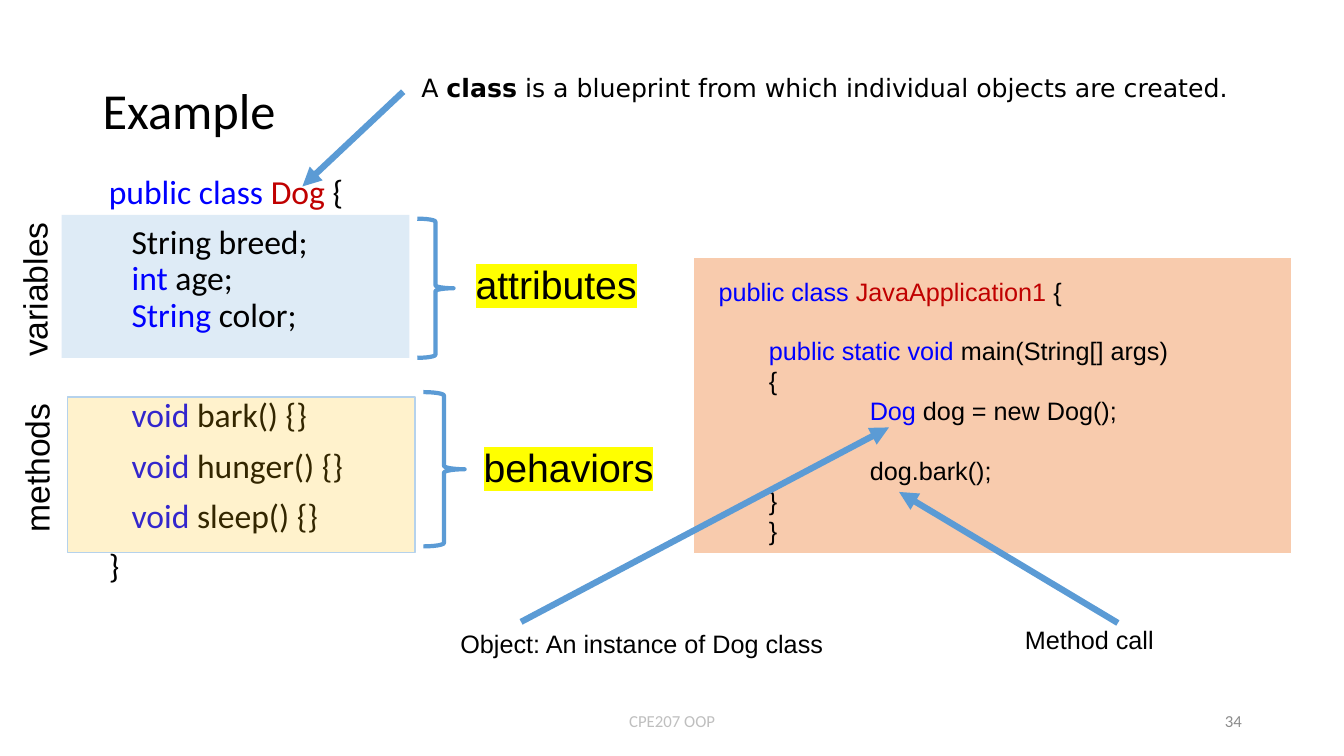
from dataclasses import dataclass
from typing import Optional

from lxml import etree
from pptx import Presentation
from pptx import util as u
from pptx.dml.color import RGBColor
from pptx.enum import shapes, text
from pptx.oxml.ns import qn

COLORS = {
    "black": "000000", "keyword": "0000FF", "name": "C00000",
    "blue": "5B9BD5", "pale_blue": "B5D2EC", "peach": "F8CBAD",
    "gold": "FFC000", "white": "FFFFFF", "yellow": "FFFF00",
    "footer": "BFBFBF", "number": "8C8C8C",
}
Box = tuple[float, float, float, float]


@dataclass
class Run:
    words: str
    color: str = "black"
    bold: bool = False
    highlight: Optional[str] = None


@dataclass
class Line:
    runs: list[Run]
    before: float = 0
    indent: float = 0


@dataclass
class Label:
    box: Box
    lines: list[Line]
    size: float
    font: str = "Arial"
    wrap: bool = False
    middle: bool = False
    align: text.PP_ALIGN = text.PP_ALIGN.LEFT
    spacing: Optional[float] = None
    rotation: float = 0


@dataclass
class Panel:
    box: Box
    fill: str
    opacity: int = 100
    border: Optional[str] = None


@dataclass
class Arrow:
    start: tuple[float, float]
    end: tuple[float, float]


def rgb(name: str) -> RGBColor:
    return RGBColor.from_string(COLORS[name])


def points(values: tuple) -> list[u.Length]:
    return [u.Pt(value) for value in values]


def draw_panel(slide, panel: Panel) -> None:
    rect = slide.shapes.add_shape(shapes.MSO_SHAPE.RECTANGLE, *points(panel.box))
    rect.shadow.inherit = False
    rect.fill.solid()
    rect.fill.fore_color.rgb = rgb(panel.fill)
    if panel.opacity < 100:
        color = rect._element.spPr.find(qn("a:solidFill"))[0]
        etree.SubElement(color, qn("a:alpha"), val=str(panel.opacity * 1000))
    if panel.border:
        rect.line.color.rgb = rgb(panel.border)
        rect.line.width = u.Pt(1)
    else:
        rect.line.fill.background()


def draw_brace(slide, box: Box) -> None:
    brace = slide.shapes.add_shape(shapes.MSO_SHAPE.RIGHT_BRACE, *points(box))
    brace.shadow.inherit = False
    brace.fill.background()
    brace.line.color.rgb = rgb("blue")
    brace.line.width = u.Pt(3)


def draw_arrow(slide, arrow: Arrow) -> None:
    line = slide.shapes.add_connector(
        shapes.MSO_CONNECTOR.STRAIGHT, *points(arrow.start + arrow.end))
    line.line.color.rgb = rgb("blue")
    line.line.width = u.Pt(4.5)
    etree.SubElement(line.line._get_or_add_ln(), qn("a:tailEnd"), type="triangle")
    etree.SubElement(line._element.spPr, qn("a:effectLst"))


def draw_label(slide, label: Label) -> None:
    box = slide.shapes.add_textbox(*points(label.box))
    box.rotation = label.rotation
    frame = box.text_frame
    frame.word_wrap = label.wrap
    if label.middle:
        frame.vertical_anchor = text.MSO_ANCHOR.MIDDLE
    for index, line in enumerate(label.lines):
        paragraph = frame.add_paragraph() if index else frame.paragraphs[0]
        paragraph.alignment = label.align
        if label.spacing:
            paragraph.line_spacing = label.spacing
        if line.before:
            paragraph.space_before = u.Pt(line.before)
        if line.indent:
            properties = paragraph._p.get_or_add_pPr()
            properties.set("marL", str(u.Pt(line.indent)))
            properties.set("indent", "0")
        for part in line.runs:
            run = paragraph.add_run()
            run.text = part.words
            run.font.size = u.Pt(label.size)
            run.font.bold = part.bold
            run.font.color.rgb = rgb(part.color)
            if part.highlight:
                mark = etree.Element(qn("a:highlight"))
                etree.SubElement(mark, qn("a:srgbClr"), val=COLORS[part.highlight])
                run._r.rPr.find(qn("a:solidFill")).addnext(mark)
            run.font.name = label.font


def single(words: str, color: str = "black", highlight: Optional[str] = None) -> list[Line]:
    return [Line([Run(words, color, highlight=highlight)])]


def method(name: str, before: float = 10) -> Line:
    return Line([Run("   void", "keyword"), Run(f" {name}() {{}}")], before)


# Code of the Dog class
DOG_CLASS = [
    Line([Run("public class ", "keyword"), Run("Dog", "name"), Run(" {")]),
    Line([Run("   String breed;")], 10),
    Line([Run("   int", "keyword"), Run(" age;")]),
    Line([Run("   String", "keyword"), Run(" color;")]),
    method("bark", 46),
    method("hunger"),
    method("sleep"),
    Line([Run("}")], 10),
]

# Code of the application, with one line of air where a gap is wanted
GAP, BODY, INNER = 20.7, 36, 108
APPLICATION = [
    Line([Run("public class ", "keyword"), Run("JavaApplication1", "name"), Run(" {")]),
    Line([Run("public static void", "keyword"), Run(" main(String[] args)")], GAP, BODY),
    Line([Run("{")], indent=BODY),
    Line([Run("Dog ", "keyword"), Run("dog = new Dog();")], indent=INNER),
    Line([Run("dog.bark();")], GAP, INNER),
    Line([Run("}")], indent=BODY),
    Line([Run("}")], indent=BODY),
]

DEFINITION = [Line([
    Run("A "), Run("class", bold=True),
    Run(" is a blueprint from which individual objects are created."),
])]

# Everything on the slide, from back to front
CONTENT = [
    Panel((495.4, 183.6, 427, 211.7), "peach", border="white"),
    Panel((44, 153.4, 248.4, 102.2), "blue", 20),
    Label((66.2, 28.8, 828, 104.4), single("Example"), 36, "Calibri",
          wrap=True, middle=True, spacing=0.9),
    Label((70.6, 121.7, 210.2, 311), DOG_CLASS, 24, "Calibri", wrap=True, spacing=0.9),
    Label((293.8, 48.2, 630, 28.8), DEFINITION, 18, "DejaVu Sans", wrap=True),
    Arrow((288, 65.5), (216, 133.2)),
    Label((332.6, 182.2, 131, 41), single("attributes", highlight="yellow"), 28),
    Label((338.4, 313.2, 137.5, 41), single("behaviors", highlight="yellow"), 28),
    Label((506.2, 193.7, 372.2, 203.8), APPLICATION, 18, wrap=True),
    Arrow((372.2, 444.2), (635, 305.3)),
    Label((321.8, 445, 275.8, 28.8), single("Object: An instance of Dog class"), 18),
    Panel((48.2, 283.7, 248.4, 110.9), "gold", 20, "pale_blue"),
    Label((-31, 187.9, 111.6, 36.7), single("variables"), 24, rotation=270),
    Label((-27.4, 315.4, 107.3, 36.7), single("methods"), 24, rotation=270),
    Arrow((798.5, 445), (642.2, 351.4)),
    Label((725, 442.1, 107.3, 28.8), single("Method call"), 18),
    Label((318.2, 500.4, 324, 28.8), single("CPE207 OOP", "footer"), 12, "Calibri",
          wrap=True, middle=True, align=text.PP_ALIGN.CENTER),
    Label((678.2, 500.4, 216, 28.8), single("34", "number"), 12, "Calibri",
          wrap=True, middle=True, align=text.PP_ALIGN.RIGHT),
]
BRACES = [(298.1, 156.2, 25.9, 99.4), (302.4, 280.1, 29.5, 110.2)]
DRAW = {Panel: draw_panel, Label: draw_label, Arrow: draw_arrow}


def main() -> None:
    deck = Presentation()
    deck.slide_width, deck.slide_height = u.Pt(960), u.Pt(540)
    slide = deck.slides.add_slide(deck.slide_layouts[6])
    for item in CONTENT:
        DRAW[type(item)](slide, item)
    for brace in BRACES:
        draw_brace(slide, brace)
    deck.save("out.pptx")


if __name__ == "__main__":
    main()
